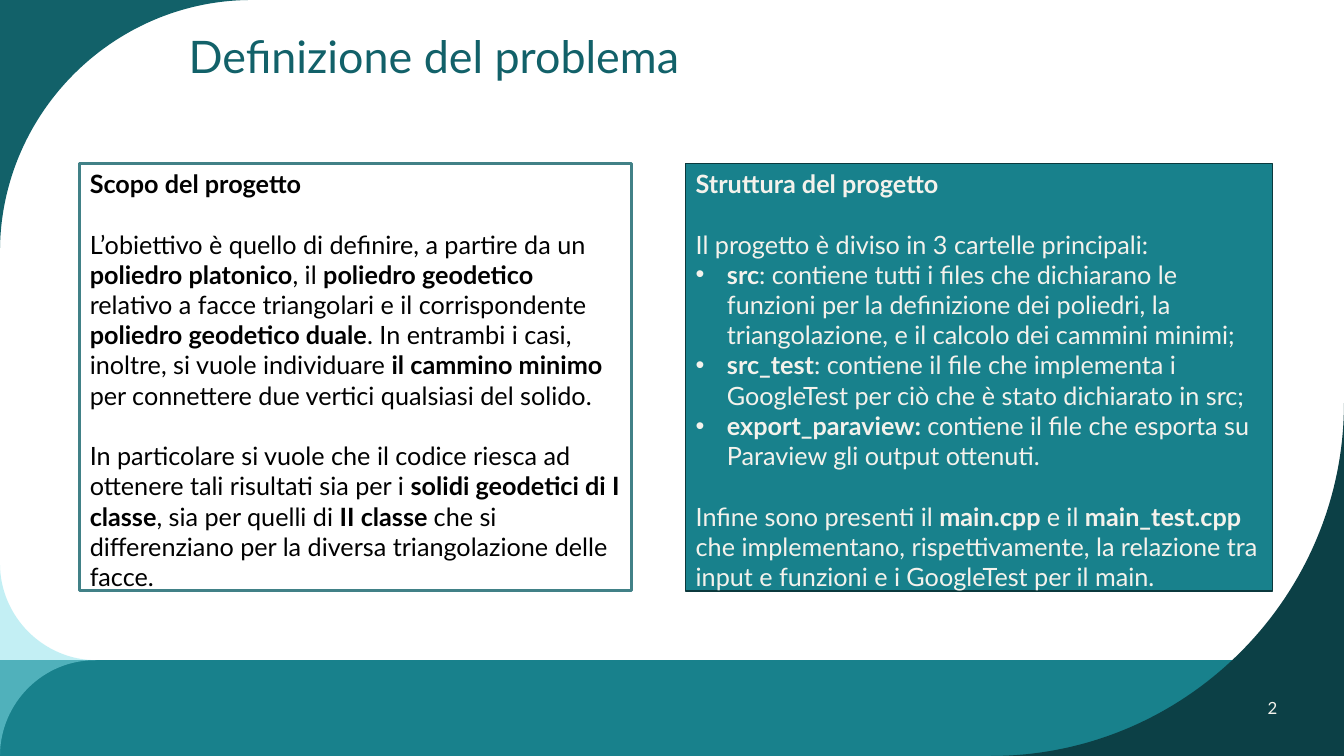
from dataclasses import dataclass
from math import cos, radians, sin
from typing import Optional

from lxml.etree import SubElement
from pptx import Presentation
from pptx.dml.color import RGBColor
from pptx.enum.shapes import MSO_SHAPE
from pptx.enum.text import MSO_ANCHOR, MSO_AUTO_SIZE, PP_ALIGN
from pptx.oxml.ns import qn
from pptx.util import Inches, Pt

FONT = "Lato"
TEAL = RGBColor(0x18, 0x81, 0x8C)
DARK_TEAL = RGBColor(0x12, 0x61, 0x69)
DEEP_TEAL = RGBColor(0x0C, 0x40, 0x46)
PALE_TEAL = RGBColor(0x89, 0xE1, 0xEB)
FRAME_TEAL = RGBColor(0x41, 0x81, 0x87)
EDGE_TEAL = RGBColor(0x0B, 0x39, 0x3D)
CREAM = RGBColor(0xF4, 0xF2, 0xEC)
BLACK = RGBColor(0, 0, 0)
BODY_LINE = 21.6  # height of one 18 pt line, in points
BAND_TOP, BAND_HEIGHT = 6.55, 0.95
HANDLE = 0.55  # Bezier handle of a quarter circle, per unit of radius


@dataclass
class Arc:
    """Quarter circle; angles run clockwise from the right."""
    x: float
    y: float
    radius: float
    start: int
    end: int

    def point(self, angle: int, handle: float = 0) -> tuple[float, float]:
        a = radians(angle)
        return (self.x + self.radius * (cos(a) - handle * sin(a)),
                self.y + self.radius * (sin(a) + handle * cos(a)))

    def curve(self) -> list[tuple[float, float]]:
        handle = HANDLE if self.end > self.start else -HANDLE
        return [self.point(self.start, handle), self.point(self.end, -handle),
                self.point(self.end)]


@dataclass
class Corner:
    arcs: list[Arc]
    tip: Optional[tuple[float, float]]
    color: RGBColor
    opacity: int = 100


@dataclass
class Para:
    text: str  # parts between ** are bold
    bullet: bool = False
    gap: bool = False


@dataclass
class Panel:
    left: float
    width: float
    fill: Optional[RGBColor]
    line: RGBColor
    line_width: float
    color: RGBColor
    paras: list[Para]


CORNERS = [
    Corner([Arc(9.83, 4, 3.5, 0, 90)], (13.33, 7.5), DEEP_TEAL),
    Corner([Arc(2.5, 2.5, 2.5, 180, 270)], (0, 0), DARK_TEAL),
    Corner([Arc(0.96, 5.59, 0.96, 180, 90), Arc(0.96, 7.5, 0.96, 270, 180)], None, PALE_TEAL, 50),
]

PANELS = [
    Panel(0.79, 5.47, None, FRAME_TEAL, 2.25, BLACK, [
        Para("**Scopo del progetto**"),
        Para("L’obiettivo è quello di definire, a partire da un **poliedro platonico**, il "
             "**poliedro geodetico **relativo a facce triangolari e il corrispondente "
             "**poliedro geodetico duale**. In entrambi i casi, inoltre, si vuole individuare "
             "**il cammino minimo **per connettere due vertici qualsiasi del solido.", gap=True),
        Para("In particolare si vuole che il codice riesca ad ottenere tali risultati sia per i "
             "**solidi geodetici di I classe**, sia per quelli di **II classe **che si "
             "differenziano per la diversa triangolazione delle facce.", gap=True),
    ]),
    Panel(6.8, 5.82, TEAL, EDGE_TEAL, 1, CREAM, [
        Para("**Struttura del progetto**"),
        Para("Il progetto è diviso in 3 cartelle principali:", gap=True),
        Para("**src**: contiene tutti i files che dichiarano le funzioni per la definizione dei "
             "poliedri, la triangolazione, e il calcolo dei cammini minimi;", bullet=True),
        Para("**src_test**: contiene il file che implementa i GoogleTest per ciò che è stato "
             "dichiarato in src;", bullet=True),
        Para("**export_paraview: **contiene il file che esporta su Paraview gli output ottenuti.",
             bullet=True),
        Para("Infine sono presenti il **main.cpp **e il **main_test.cpp **che implementano, "
             "rispettivamente, la relazione tra input e funzioni e i GoogleTest per il main.",
             gap=True),
    ]),
]


def place(shape, left: float, top: float, width: float, height: float) -> None:
    shape.left, shape.top = Inches(left), Inches(top)
    shape.width, shape.height = Inches(width), Inches(height)


def paint(shape, color: RGBColor) -> None:
    shape.shadow.inherit = False
    shape.fill.solid()
    shape.fill.fore_color.rgb = color
    shape.line.fill.background()


def add_span(paragraph, text: str, size: float, color: RGBColor, bold: bool = False) -> None:
    span = paragraph.add_run()
    span.text = text
    span.font.name, span.font.size, span.font.bold = FONT, Pt(size), bold
    span.font.color.rgb = color


def draw_corner(page, corner: Corner) -> None:
    first = corner.arcs[0]
    points = [point for arc in corner.arcs for point in arc.curve()]
    if corner.tip:
        points.append(corner.tip)
    x, y = first.point(first.start)
    builder = page.shapes.build_freeform(Inches(x), Inches(y))
    builder.add_line_segments([(Inches(x), Inches(y)) for x, y in points], close=True)
    shape = builder.convert_to_shape()
    paint(shape, corner.color)
    # Each three segments of an arc become one Bezier curve
    outline = next(shape._element.iter(qn("a:path")))
    segments = outline.findall(qn("a:lnTo"))
    for index in range(len(corner.arcs)):
        curve = SubElement(outline, qn("a:cubicBezTo"))
        segments[3 * index].addprevious(curve)
        for segment in segments[3 * index:3 * index + 3]:
            curve.append(segment[0])
            outline.remove(segment)
    if corner.opacity < 100:
        color = shape.fill._xPr.find(qn("a:solidFill"))[0]
        SubElement(color, qn("a:alpha")).set("val", str(corner.opacity * 1000))


def write_para(paragraph, para: Para, color: RGBColor) -> None:
    paragraph.space_before = Pt(BODY_LINE if para.gap else 0)
    properties = paragraph._p.get_or_add_pPr()
    indent = Inches(0.31) if para.bullet else 0
    properties.set("marL", str(indent))
    properties.set("indent", str(-indent))
    if para.bullet:
        SubElement(properties, qn("a:buFont")).set("typeface", "Arial")
        SubElement(properties, qn("a:buChar")).set("char", "•")
    else:
        SubElement(properties, qn("a:buNone"))
    for index, text in enumerate(para.text.split("**")):
        if text:
            add_span(paragraph, text, 18, color, bold=index % 2 == 1)


def fill_panel(box, panel: Panel) -> None:
    place(box, panel.left, 1.62, panel.width, 4.34)
    if panel.fill is not None:
        box.fill.solid()
        box.fill.fore_color.rgb = panel.fill
    box.line.color.rgb = panel.line
    box.line.width = Pt(panel.line_width)
    frame = box.text_frame
    frame.word_wrap = True
    frame.auto_size = MSO_AUTO_SIZE.SHAPE_TO_FIT_TEXT
    frame.vertical_anchor = MSO_ANCHOR.TOP
    for index, para in enumerate(panel.paras):
        paragraph = frame.add_paragraph() if index else frame.paragraphs[0]
        write_para(paragraph, para, panel.color)


def main() -> None:
    deck = Presentation()
    deck.slide_width, deck.slide_height = Inches(13.33), Inches(7.5)
    page = deck.slides.add_slide(deck.slide_layouts[3])

    # Bottom band and rounded corners
    band = page.shapes.add_shape(MSO_SHAPE.RECTANGLE, 0, Inches(BAND_TOP),
                                 deck.slide_width, Inches(BAND_HEIGHT))
    paint(band, TEAL)
    for corner in CORNERS:
        draw_corner(page, corner)

    # Title
    title = page.shapes.title
    place(title, 1.77, 0.23, 7.38, 0.71)
    title.text_frame.vertical_anchor = MSO_ANCHOR.MIDDLE
    title.text_frame.auto_size = MSO_AUTO_SIZE.NONE
    heading = title.text_frame.paragraphs[0]
    heading.alignment, heading.line_spacing = PP_ALIGN.LEFT, 0.9
    add_span(heading, "Definizione del problema", 32, DARK_TEAL)

    # Text panels
    for index, panel in enumerate(PANELS, start=1):
        fill_panel(page.placeholders[index], panel)

    # Page number
    number = page.shapes.add_textbox(Inches(11.91), Inches(BAND_TOP),
                                     Inches(1.42), Inches(BAND_HEIGHT))
    number.text_frame.word_wrap = True
    number.text_frame.vertical_anchor = MSO_ANCHOR.MIDDLE
    number.text_frame.paragraphs[0].alignment = PP_ALIGN.CENTER
    add_span(number.text_frame.paragraphs[0], "2", 12, CREAM)

    deck.save("out.pptx")


if __name__ == "__main__":
    main()
